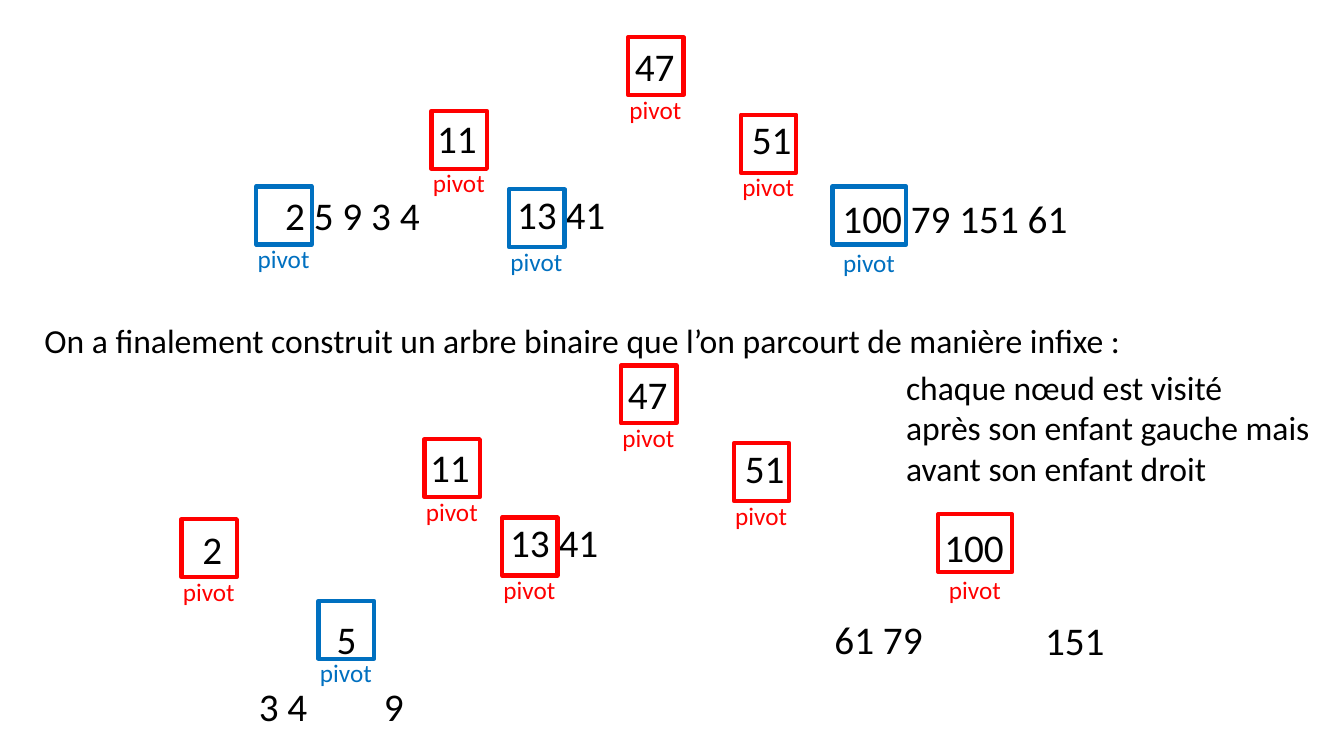
from dataclasses import dataclass, replace

from pptx import Presentation
from pptx.dml.color import RGBColor
from pptx.enum.shapes import MSO_SHAPE as Shape
from pptx.enum.text import MSO_ANCHOR as Anchor, MSO_AUTO_SIZE as AutoSize, PP_ALIGN as Align
from pptx.slide import Slide
from pptx.text.text import TextFrame
from pptx.util import Pt


@dataclass(frozen=True)
class Theme:
    font: str = "Calibri"
    text: RGBColor = RGBColor(0, 0, 0)
    settled: RGBColor = RGBColor(0xFF, 0, 0)
    current: RGBColor = RGBColor(0, 0x70, 0xC0)
    value_size: float = 28
    prose_size: float = 24
    label_size: float = 18
    frame_width: float = 3


THEME = Theme()
FRAME_HEIGHT = 41.4
NARROW, WIDE = 39.6, 52.6
LABEL_WIDTH, LABEL_HEIGHT = 51.8, 28.8
DIGIT, SPACE, MARGINS = 14.2, 6.3, 14.4


@dataclass(frozen=True)
class Values:
    """A run of numbers; x and y are the corner of its text box."""
    text: str
    x: float
    y: float


@dataclass(frozen=True)
class Node:
    """Numbers with a frame around the pivot and a label under it."""
    values: Values
    x: float
    y: float
    color: RGBColor = THEME.settled
    width: float = NARROW
    label_drop: float = 37.1


ROOT_NODES = [
    Node(Values("47", 446.4, 26.5), 448.6, 26.5),
    Node(Values("11", 305.2, 78.4), 308.2, 79.2),
    Node(Values("51", 530, 79), 529.2, 82),
]
RIGHT_OF_11 = Node(Values("13 41", 362.3, 132.4), 363.6, 135.2, THEME.current)
UPPER_LEAVES = [
    RIGHT_OF_11,
    Node(Values("2 5 9 3 4", 196.6, 133.2), 183, 133.2, THEME.current),
    Node(Values("100 79 151 61", 594.7, 135.4), 594.7, 133.2, THEME.current, WIDE, 40),
]
LOWER_LEAVES = [
    Node(Values("2", 137.5, 371.5), 129.6, 370.8),
    Node(Values("100", 667.4, 370.1), 670.3, 367.2, width=WIDE, label_drop=39.6),
    Node(Values("5", 233.3, 435.6), 227.5, 429.1, THEME.current),
]
UNFRAMED = [
    Values("3 4", 177.8, 483.8),
    Values("9", 267.1, 483.8),
    Values("61 79", 589, 435.6),
    Values("151", 739.4, 437),
]
LOWER_SHIFT = (-5, 234.5)
SENTENCE = "On a finalement construit un arbre binaire que l’on parcourt de manière infixe :"
VISIT_ORDER = ["chaque nœud est visité", "après son enfant gauche mais", "avant son enfant droit"]


def write(frame: TextFrame, lines: list[str], size: float, color: RGBColor) -> None:
    for index, line in enumerate(lines):
        paragraph = frame.add_paragraph() if index else frame.paragraphs[0]
        paragraph.alignment = Align.LEFT
        run = paragraph.add_run()
        run.text = line
        run.font.name = THEME.font
        run.font.size = Pt(size)
        run.font.color.rgb = color


def add_text(slide: Slide, lines: list[str], x: float, y: float, width: float,
             height: float, size: float, color: RGBColor = THEME.text) -> None:
    frame = slide.shapes.add_textbox(Pt(x), Pt(y), Pt(width), Pt(height)).text_frame
    frame.word_wrap = False
    frame.auto_size = AutoSize.SHAPE_TO_FIT_TEXT
    write(frame, lines, size, color)


def add_values(slide: Slide, values: Values) -> None:
    spaces = values.text.count(" ")
    width = DIGIT * (len(values.text) - spaces) + SPACE * spaces + MARGINS
    add_text(slide, [values.text], values.x, values.y, width, FRAME_HEIGHT, THEME.value_size)


def add_node(slide: Slide, node: Node) -> None:
    add_values(slide, node.values)
    frame = slide.shapes.add_shape(
        Shape.RECTANGLE, Pt(node.x), Pt(node.y), Pt(node.width), Pt(FRAME_HEIGHT))
    frame.shadow.inherit = False
    frame.fill.background()
    frame.line.color.rgb = node.color
    frame.line.width = Pt(THEME.frame_width)
    label_x = node.x + (node.width - LABEL_WIDTH) / 2
    add_text(slide, ["pivot"], label_x, node.y + node.label_drop,
             LABEL_WIDTH, LABEL_HEIGHT, THEME.label_size, node.color)


def moved_to_lower_tree(node: Node) -> Node:
    dx, dy = LOWER_SHIFT
    values = replace(node.values, x=node.values.x + dx, y=node.values.y + dy)
    return replace(node, values=values, x=node.x + dx, y=node.y + dy, color=THEME.settled)


def add_sentence(slide: Slide) -> None:
    title = slide.shapes.title
    title.left, title.top, title.width, title.height = Pt(24.5), Pt(224.6), Pt(796.3), Pt(36)
    title.text_frame.word_wrap = True
    title.text_frame.auto_size = AutoSize.NONE
    title.text_frame.vertical_anchor = Anchor.TOP
    write(title.text_frame, [SENTENCE], THEME.prose_size, THEME.text)


def main() -> None:
    deck = Presentation()
    deck.slide_width, deck.slide_height = Pt(960), Pt(540)
    slide = deck.slides.add_slide(deck.slide_layouts.get_by_name("Title Only"))
    add_sentence(slide)
    lower_tree = [moved_to_lower_tree(node) for node in [*ROOT_NODES, RIGHT_OF_11]]
    for node in [*ROOT_NODES, *UPPER_LEAVES, *lower_tree, *LOWER_LEAVES]:
        add_node(slide, node)
    for values in UNFRAMED:
        add_values(slide, values)
    add_text(slide, VISIT_ORDER, 640.1, 258.5, 311, 94.3, THEME.prose_size)
    deck.save("out.pptx")


if __name__ == "__main__":
    main()
